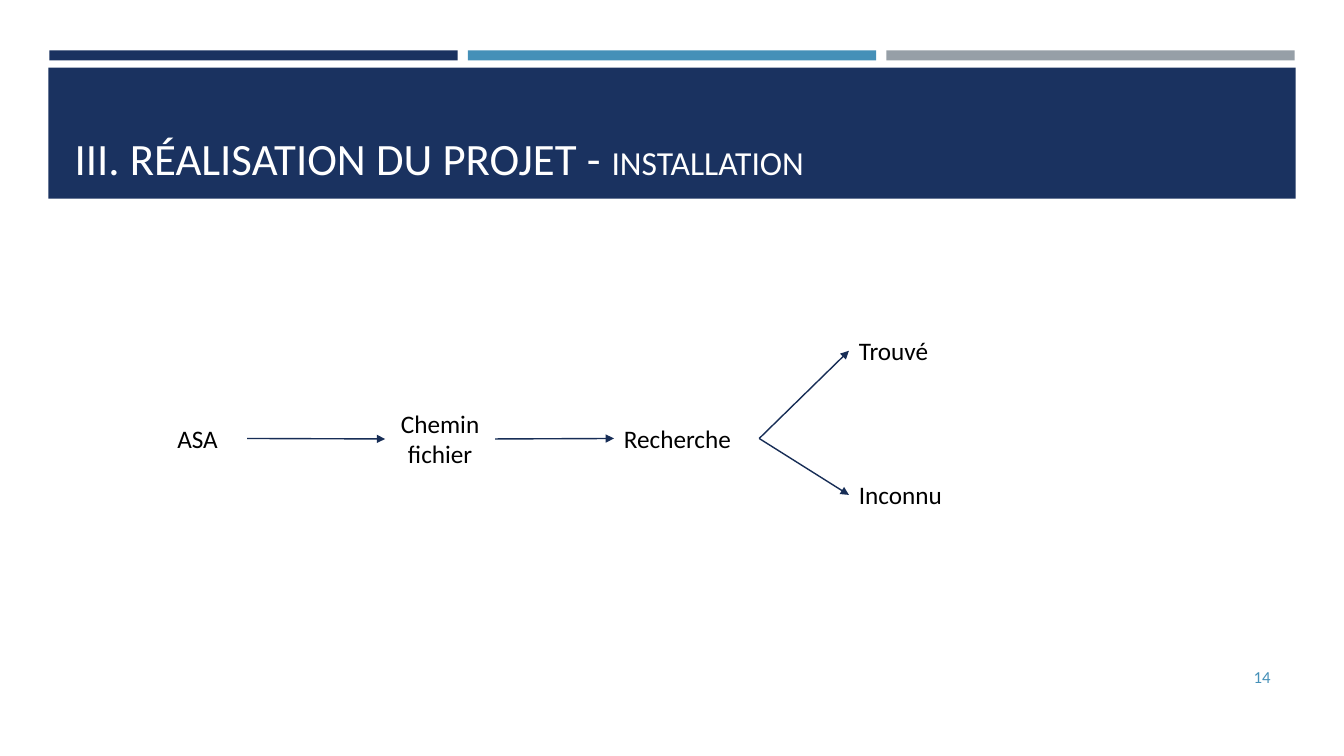
import pptx
import pptx.util
import pptx.dml.color
import pptx.enum.shapes
import pptx.enum.text
import pptx.oxml
import pptx.oxml.ns

Inches, Pt = pptx.util.Inches, pptx.util.Pt
RGBColor = pptx.dml.color.RGBColor
ALIGN = pptx.enum.text.PP_ALIGN
ANCHOR = pptx.enum.text.MSO_ANCHOR

NAVY = RGBColor(0x1A, 0x32, 0x60)
BLUE = RGBColor(0x45, 0x90, 0xB8)
GREY = RGBColor(0x96, 0x9F, 0xA7)
ARROW = RGBColor(0x17, 0x2D, 0x56)
WHITE = RGBColor(0xFF, 0xFF, 0xFF)
BLACK = RGBColor(0x00, 0x00, 0x00)
FONT = "Calibri"

TITLE = [("III. RÉALISATION DU PROJET - ", 32), ("INSTALLATION", 24)]
PAGE_NUMBER = "14"
STRIPES = [NAVY, BLUE, GREY]
STRIPE_LEFT, STRIPE_WIDTH, STRIPE_GAP = 0.49, 4.05, 0.1

# name: (text, left, top, width, height, alignment)
STEPS = {
    "asa": ("ASA", 1.66, 4.15, 0.79, 0.4, ALIGN.LEFT),
    "file": ("Chemin fichier", 3.82, 4, 1.09, 0.71, ALIGN.CENTER),
    "search": ("Recherche", 6.09, 4.15, 1.44, 0.4, ALIGN.LEFT),
    "found": ("Trouvé", 8.42, 3.28, 1.51, 0.4, ALIGN.LEFT),
    "unknown": ("Inconnu", 8.42, 4.71, 1.33, 0.4, ALIGN.LEFT),
}
FLOWS = [("asa", "file"), ("file", "search"),
         ("search", "found"), ("search", "unknown")]
LEFT_SITE, RIGHT_SITE = 1, 3


def add_run(p, text, size, color):
    r = p.add_run()
    r.text = text
    r.font.name = FONT
    r.font.size = Pt(size)
    r.font.color.rgb = color


def add_bar(slide, left, top, width, height, color):
    sp = slide.shapes.add_shape(
        pptx.enum.shapes.MSO_SHAPE.RECTANGLE,
        Inches(left), Inches(top), Inches(width), Inches(height))
    sp.shadow.inherit = False
    sp.fill.solid()
    sp.fill.fore_color.rgb = color
    sp.line.fill.background()


def add_label(slide, text, left, top, width, height, align, size=18, color=BLACK):
    sp = slide.shapes.add_textbox(
        Inches(left), Inches(top), Inches(width), Inches(height))
    tf = sp.text_frame
    tf.word_wrap = True
    p = tf.paragraphs[0]
    p.alignment = align
    add_run(p, text, size, color)
    return sp


def add_arrow(slide, source, target):
    """Join the right side of source to the left side of target."""
    line = slide.shapes.add_connector(
        pptx.enum.shapes.MSO_CONNECTOR.STRAIGHT, 0, 0, 0, 0)
    line.begin_connect(source, RIGHT_SITE)
    line.end_connect(target, LEFT_SITE)
    line.line.color.rgb = ARROW
    line.line.width = Pt(1)
    ns = pptx.oxml.ns.nsdecls("a")
    ln = line.line._get_or_add_ln()
    ln.append(pptx.oxml.parse_xml(f'<a:tailEnd {ns} type="triangle"/>'))
    ln.getparent().append(pptx.oxml.parse_xml(f"<a:effectLst {ns}/>"))


def main():
    prs = pptx.Presentation()
    prs.slide_width, prs.slide_height = Inches(13.33), Inches(7.5)
    slide = prs.slides.add_slide(prs.slide_layouts[5])

    for i, color in enumerate(STRIPES):
        left = STRIPE_LEFT + i * (STRIPE_WIDTH + STRIPE_GAP)
        add_bar(slide, left, 0.5, STRIPE_WIDTH, 0.1, color)
    add_bar(slide, 0.48, 0.67, 12.37, 1.3, NAVY)

    title = slide.shapes.title
    title.left, title.top = Inches(0.64), Inches(0.77)
    title.width, title.height = Inches(12.06), Inches(1.11)
    title.element.getparent().append(title.element)  # in front of the band
    tf = title.text_frame
    tf.word_wrap = True
    tf.auto_size = pptx.enum.text.MSO_AUTO_SIZE.NONE
    tf.vertical_anchor = ANCHOR.BOTTOM
    p = tf.paragraphs[0]
    p.alignment = ALIGN.LEFT
    for text, size in TITLE:
        add_run(p, text, size, WHITE)

    number = add_label(slide, PAGE_NUMBER, 11.55, 6.51, 1.15, 0.4,
                       ALIGN.RIGHT, 12, BLUE)
    number.text_frame.vertical_anchor = ANCHOR.MIDDLE

    labels = {}
    for name, step in STEPS.items():
        labels[name] = add_label(slide, *step)
        labels[name].text_frame.auto_size = (
            pptx.enum.text.MSO_AUTO_SIZE.SHAPE_TO_FIT_TEXT)
    for source, target in FLOWS:
        add_arrow(slide, labels[source], labels[target])

    prs.save("out.pptx")


if __name__ == "__main__":
    main()
